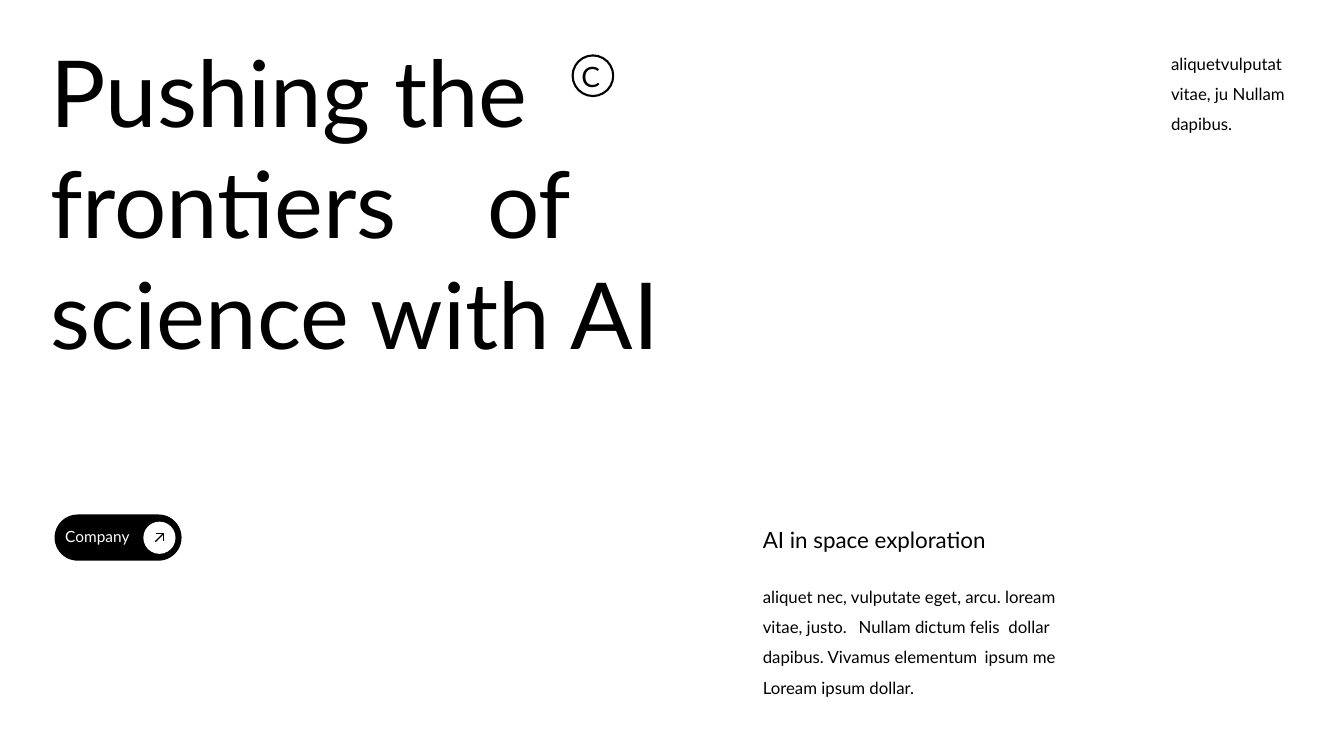
from dataclasses import dataclass

from lxml import etree
from pptx import Presentation
from pptx import util as u
from pptx.dml.color import RGBColor
from pptx.enum import shapes, text
from pptx.oxml import ns

Pt = u.Pt


@dataclass(frozen=True)
class Theme:
    font: str = "Lato"
    ink: RGBColor = RGBColor(0, 0, 0)
    paper: RGBColor = RGBColor(255, 255, 255)
    headline: int = 66
    mark: int = 20
    heading: int = 16
    body: int = 12
    button: int = 11
    ring_line: float = 1.5
    arrow_line: float = 0.79


@dataclass(frozen=True)
class Box:
    left: float
    top: float
    width: float
    height: float

    def inner(self, left, top, width, height):
        return Box(self.left + left, self.top + top, width, height)

    def emu(self):
        return Pt(self.left), Pt(self.top), Pt(self.width), Pt(self.height)


THEME = Theme()


def add_tabs(paragraph, stops):
    tab_list = etree.SubElement(paragraph._p.get_or_add_pPr(), ns.qn("a:tabLst"))
    for stop in stops:
        etree.SubElement(tab_list, ns.qn("a:tab"), pos=str(Pt(stop)), algn="l")


def write_lines(slide, box, lines, size, color=THEME.ink, spacing=None):
    frame = slide.shapes.add_textbox(*box.emu()).text_frame
    frame.word_wrap = True
    frame.auto_size = text.MSO_AUTO_SIZE.SHAPE_TO_FIT_TEXT
    for index, (words, *stops) in enumerate(lines):
        paragraph = frame.add_paragraph() if index else frame.paragraphs[0]
        paragraph.text = words
        if stops:
            add_tabs(paragraph, stops)
        if spacing:
            paragraph.line_spacing = spacing
        paragraph.font.name = THEME.font
        paragraph.font.size = Pt(size)
        paragraph.font.color.rgb = color


def draw_shape(slide, kind, box, fill=None, line=None):
    shape = slide.shapes.add_shape(kind, *box.emu())
    shape.shadow.inherit = False
    if fill is None:
        shape.fill.background()
    else:
        shape.fill.solid()
        shape.fill.fore_color.rgb = fill
    if line is None:
        shape.line.fill.background()
    else:
        shape.line.color.rgb = THEME.ink
        shape.line.width = Pt(line)
    return shape


def draw_headline(slide, box):
    lines = [("Pushing the",), ("frontiers\tof", 312), ("science with AI",)]
    write_lines(slide, box, lines, THEME.headline)


def draw_mark(slide, box):
    draw_shape(slide, shapes.MSO_SHAPE.OVAL, box, line=THEME.ring_line)
    write_lines(slide, box.inner(-0.7, -0.7, 28.8, 31.7), [("C",)], THEME.mark)


def draw_article(slide, box):
    write_lines(slide, box.inner(0, 0, 190, 26.6),
                [("AI in space exploration",)], THEME.heading)
    lines = [
        ("aliquet nec, vulputate eget, arcu. loream",),
        ("vitae, justo.\tNullam dictum felis\tdollar", 68.5, 175.5),
        ("dapibus. Vivamus elementum\tipsum me", 158.5),
        ("Loream ipsum dollar.",),
    ]
    write_lines(slide, box.inner(0, 36, box.width, box.height - 36),
                lines, THEME.body, spacing=1.5)


def draw_arrow(slide, box):
    right, bottom = box.left + box.width, box.top + box.height
    builder = slide.shapes.build_freeform(Pt(right), Pt(bottom - 0.6))
    builder.add_line_segments(
        [(Pt(right), Pt(box.top)), (Pt(box.left + 0.6), Pt(box.top))], close=False)
    head = builder.convert_to_shape()
    head.shadow.inherit = False
    head.fill.background()
    shaft = slide.shapes.add_connector(
        shapes.MSO_CONNECTOR.STRAIGHT,
        Pt(box.left), Pt(bottom), Pt(right), Pt(box.top))
    etree.SubElement(shaft._element.spPr, ns.qn("a:effectLst"))
    for stroke in (head, shaft):
        stroke.line.color.rgb = THEME.ink
        stroke.line.width = Pt(THEME.arrow_line)


def draw_button(slide, box):
    pill = draw_shape(slide, shapes.MSO_SHAPE.ROUNDED_RECTANGLE, box, THEME.ink)
    pill.adjustments[0] = 0.5
    disc = box.inner(63.4, 5.1, 23, 23)
    draw_shape(slide, shapes.MSO_SHAPE.OVAL, disc, THEME.paper)
    draw_arrow(slide, disc.inner(8.6, 8.5, 5.8, 5.8))
    write_lines(slide, box.inner(0.5, 5.7, 72.7, 20.9),
                [("Company",)], THEME.button, THEME.paper)


def draw_side_note(slide, box):
    lines = [("aliquetvulputat",), ("vitae, ju Nullam",), ("dapibus.",)]
    write_lines(slide, box, lines, THEME.body, spacing=1.5)


def main():
    deck = Presentation()
    deck.slide_width, deck.slide_height = Pt(960), Pt(540)
    slide = deck.slides.add_slide(deck.slide_layouts[6])
    slide.background.fill.solid()
    slide.background.fill.fore_color.rgb = THEME.paper
    draw_headline(slide, Box(29, 21.6, 611, 247))
    draw_mark(slide, Box(409, 39.6, 29, 29))
    draw_article(slide, Box(537.8, 372.2, 278.6, 149.8))
    draw_button(slide, Box(39, 367.5, 90.7, 33))
    draw_side_note(slide, Box(829.4, 27.4, 130, 70.6))
    deck.save("out.pptx")


if __name__ == "__main__":
    main()
